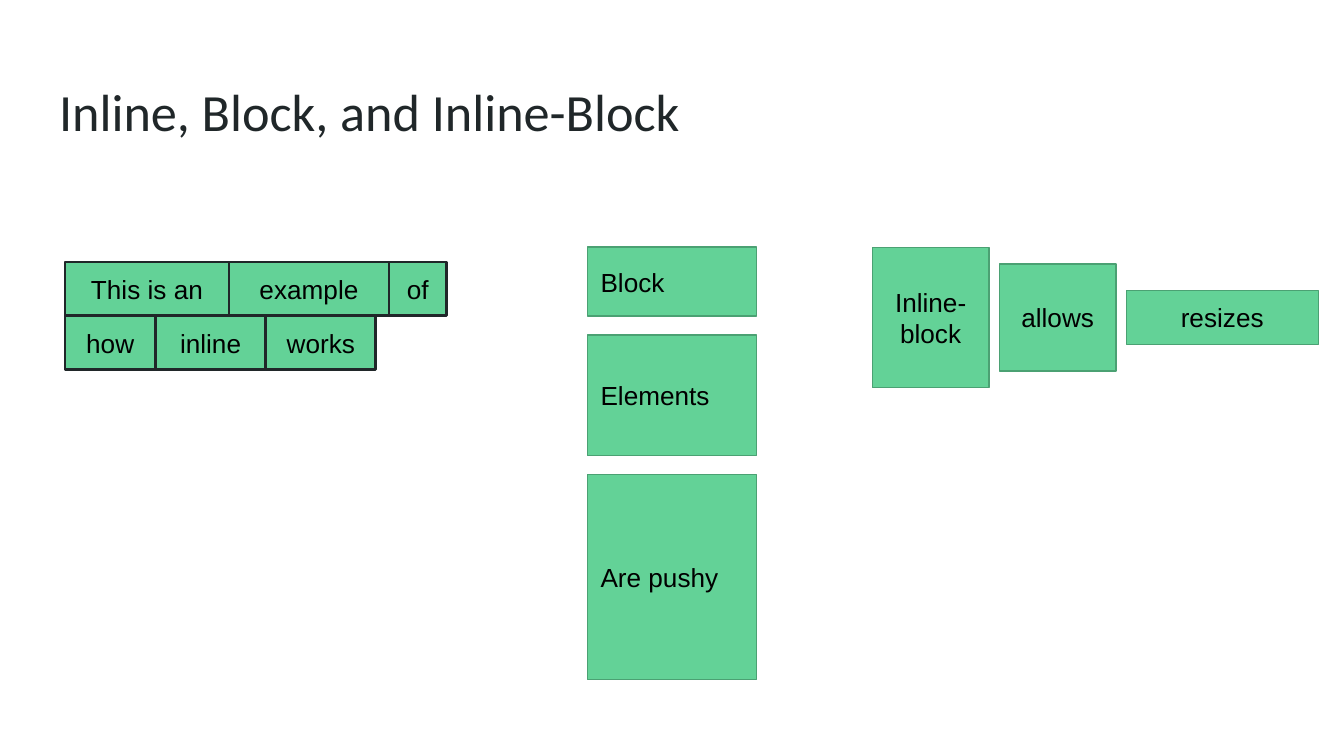
import collections

import pptx
import pptx.dml.color
import pptx.enum.shapes
import pptx.enum.text
import pptx.util

INK = pptx.dml.color.RGBColor(0x20, 0x27, 0x29)
BLACK = pptx.dml.color.RGBColor(0, 0, 0)
GREEN = pptx.dml.color.RGBColor(0x63, 0xD2, 0x97)
DARK_GREEN = pptx.dml.color.RGBColor(0x4B, 0xA1, 0x73)

LEFT = pptx.enum.text.PP_ALIGN.LEFT
CENTER = pptx.enum.text.PP_ALIGN.CENTER

SLIDE_WIDTH = pptx.util.Inches(10)
SLIDE_HEIGHT = SLIDE_WIDTH * 9 // 16
COLUMN = SLIDE_WIDTH / 100
ROW = SLIDE_HEIGHT / 100

Box = collections.namedtuple("Box", "left top width height")


def to_lengths(box):
    return (
        round(box.left * COLUMN),
        round(box.top * ROW),
        round(box.width * COLUMN),
        round(box.height * ROW),
    )


def equal_gap(total, sizes):
    return (total - sum(sizes)) / (len(sizes) - 1)


def write_text(shape, text, font_name, size, color, alignment, anchor):
    frame = shape.text_frame
    frame.text = text
    frame.word_wrap = True
    frame.vertical_anchor = anchor
    frame.margin_left = frame.margin_right = pptx.util.Inches(0.1)
    frame.margin_top = frame.margin_bottom = pptx.util.Inches(0.1)
    paragraph = frame.paragraphs[0]
    paragraph.alignment = alignment
    font = paragraph.runs[0].font
    font.name = font_name
    font.size = pptx.util.Pt(size)
    font.color.rgb = color


def add_element(group, box, text, line_color, line_width, alignment):
    shape = group.shapes.add_shape(
        pptx.enum.shapes.MSO_SHAPE.RECTANGLE, *to_lengths(box)
    )
    shape.shadow.inherit = False
    shape.fill.solid()
    shape.fill.fore_color.rgb = GREEN
    shape.line.color.rgb = line_color
    shape.line.width = pptx.util.Pt(line_width)
    middle = pptx.enum.text.MSO_ANCHOR.MIDDLE
    write_text(shape, text, "Arial", 14, BLACK, alignment, middle)


def add_title(slide, box, text):
    shape = slide.shapes.add_textbox(*to_lengths(box))
    top = pptx.enum.text.MSO_ANCHOR.TOP
    write_text(shape, text, "Calibri", 28, INK, LEFT, top)


def add_inline(slide, box, lines):
    group = slide.shapes.add_group_shape()
    height = box.height / len(lines)
    for index, words in enumerate(lines):
        left = box.left
        for text, width in words:
            place = Box(left, box.top + index * height, width, height)
            add_element(group, place, text, INK, 1.5, CENTER)
            left += width


def add_block(slide, box, elements):
    group = slide.shapes.add_group_shape()
    gap = equal_gap(box.height, [height for _, height in elements])
    top = box.top
    for text, height in elements:
        place = Box(box.left, top, box.width, height)
        add_element(group, place, text, DARK_GREEN, 0.75, LEFT)
        top += height + gap


def add_inline_block(slide, box, elements):
    group = slide.shapes.add_group_shape()
    gap = equal_gap(box.width, [width for _, width, _ in elements])
    left = box.left
    for text, width, height in elements:
        top = box.top + (box.height - height) / 2
        place = Box(left, top, width, height)
        add_element(group, place, text, DARK_GREEN, 0.75, CENTER)
        left += width + gap


def main():
    presentation = pptx.Presentation()
    presentation.slide_width = SLIDE_WIDTH
    presentation.slide_height = SLIDE_HEIGHT
    slide = presentation.slides.add_slide(presentation.slide_layouts[6])

    add_title(
        slide, Box(3.41, 8.7, 93.2, 11.2), "Inline, Block, and Inline-Block"
    )
    add_inline(
        slide,
        Box(4.84, 34.67, 28.4, 14.2),
        [
            [("This is an", 12.2), ("example", 11.9), ("of", 4.3)],
            [("how", 6.73), ("inline", 8.2), ("works", 8.2)],
        ],
    )
    add_block(
        slide,
        Box(43.7, 32.7, 12.6, 57.2),
        [("Block", 9.1), ("Elements", 16), ("Are pushy", 27.1)],
    )
    add_inline_block(
        slide,
        Box(64.9, 32.7, 33.2, 18.6),
        [
            ("Inline-block", 8.7, 18.6),
            ("allows", 8.7, 14.2),
            ("resizes", 14.3, 7.1),
        ],
    )
    presentation.save("out.pptx")


if __name__ == "__main__":
    main()
